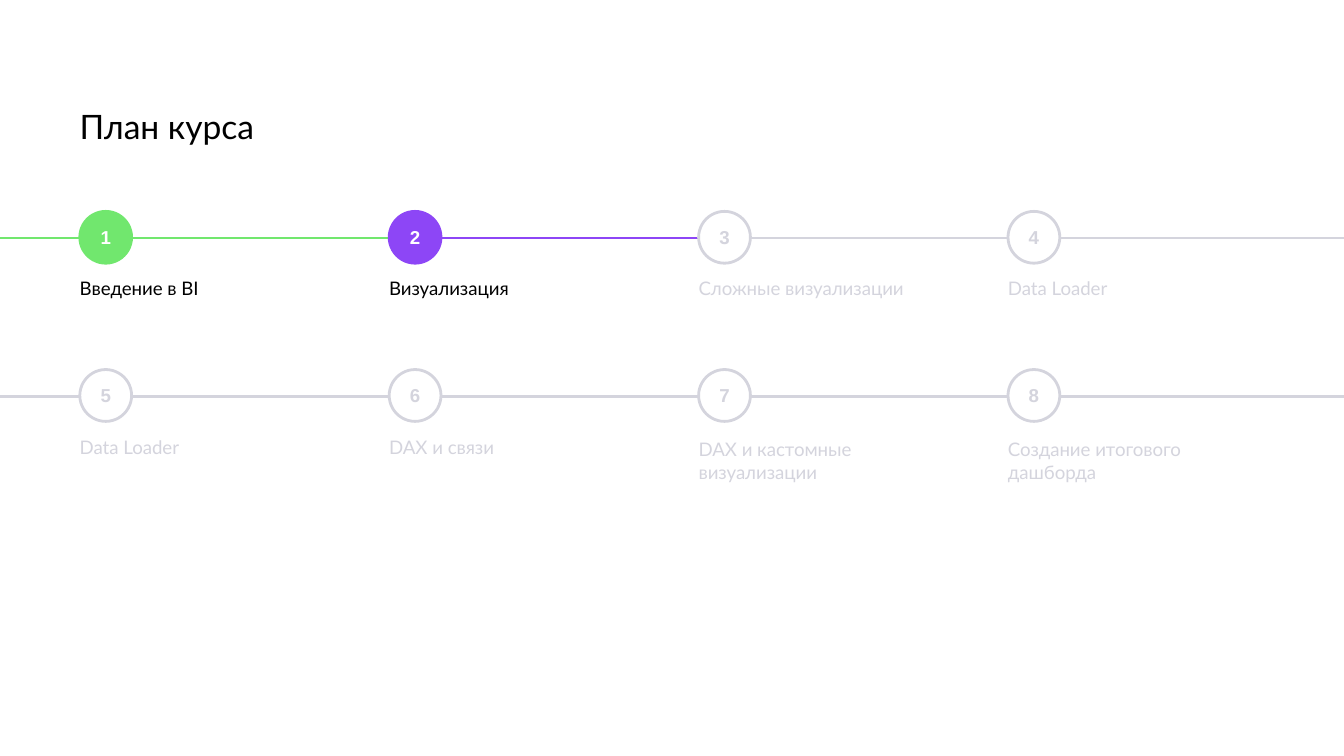
from dataclasses import dataclass

from pptx import Presentation
from pptx.dml.color import RGBColor
from pptx.enum.shapes import MSO_CONNECTOR as Link, MSO_SHAPE as Shape
from pptx.enum.text import MSO_ANCHOR as Anchor, PP_ALIGN as Align
from pptx.oxml.ns import qn
from pptx.slide import Slide
from pptx.util import Emu, Pt

PX = 9525  # 96 px to the inch
WIDE, HIGH = 960, 540
LEFT, STEP = 57, 221
SIZE = 37
ROWS = (170, 283)
COLS = 4

BLACK = RGBColor(0x00, 0x00, 0x00)
WHITE = RGBColor(0xFF, 0xFF, 0xFF)
GREEN = RGBColor(0x71, 0xE7, 0x6E)
PURPLE = RGBColor(0x8D, 0x46, 0xF6)
GREY = RGBColor(0xD4, 0xD4, 0xDD)


@dataclass
class Topic:
    name: str
    tone: RGBColor = GREY

    @property
    def open(self) -> bool:
        return self.tone != GREY


TOPICS = [
    Topic("Введение в BI", GREEN),
    Topic("Визуализация", PURPLE),
    Topic("Сложные визуализации"),
    Topic("Data Loader"),
    Topic("Data Loader"),
    Topic("DAX и связи"),
    Topic("DAX и кастомные визуализации"),
    Topic("Создание итогового дашборда"),
]


def px(*sizes: int) -> list[Emu]:
    return [Emu(size * PX) for size in sizes]


def add_line(slide: Slide, start: int, end: int, y: int, tone: RGBColor) -> None:
    line = slide.shapes.add_connector(Link.STRAIGHT, *px(start, y, end, y))
    line.line.color.rgb = tone
    line.line.width = Pt(1.5)
    props = line._element.spPr
    props.append(props.makeelement(qn("a:effectLst"), {}))


def add_text(slide: Slide, box: tuple[int, int, int, int], text: str,
             size: int, tone: RGBColor, pad: int = 0) -> None:
    frame = slide.shapes.add_textbox(*px(*box)).text_frame
    frame.word_wrap = True
    frame.margin_left = 0
    frame.margin_top = frame.margin_right = frame.margin_bottom = Emu(pad * PX)
    para = frame.paragraphs[0]
    para.text = text
    para.font.name = "Lato"
    para.font.size = Pt(size)
    para.font.color.rgb = tone


def add_badge(slide: Slide, x: int, y: int, num: int, topic: Topic) -> None:
    badge = slide.shapes.add_shape(Shape.OVAL, *px(x, y - 19, SIZE, SIZE))
    badge.shadow.inherit = False
    badge.fill.solid()
    badge.fill.fore_color.rgb = topic.tone if topic.open else WHITE
    badge.line.color.rgb = topic.tone
    badge.line.width = Pt(1.5)
    frame = badge.text_frame
    frame.margin_left = frame.margin_right = 0
    frame.margin_top = frame.margin_bottom = 0
    frame.vertical_anchor = Anchor.MIDDLE
    para = frame.paragraphs[0]
    para.text = str(num)
    para.alignment = Align.CENTER
    para.font.name = "Arial"
    para.font.size = Pt(10)
    para.font.bold = True
    para.font.color.rgb = WHITE if topic.open else GREY


def main() -> None:
    deck = Presentation()
    deck.slide_width, deck.slide_height = px(WIDE, HIGH)
    slide = deck.slides.add_slide(deck.slide_layouts[6])

    # Title
    add_text(slide, (LEFT, 76, 847, 34), "План курса", 18, BLACK)

    # Timeline rows: each line takes the tone of the topic it leaves
    for row, y in enumerate(ROWS):
        first = row * COLS
        topics = TOPICS[first:first + COLS]
        add_line(slide, 0, LEFT, y, topics[0].tone)
        for col, topic in enumerate(topics):
            x = LEFT + col * STEP
            end = x + STEP if col < COLS - 1 else WIDE
            add_line(slide, x + SIZE, end, y, topic.tone)
            add_badge(slide, x, y, first + col + 1, topic)
            tone = BLACK if topic.open else GREY
            add_text(slide, (x, y + 20, 183, 36), topic.name, 10, tone, pad=10)

    deck.save("out.pptx")


if __name__ == "__main__":
    main()
